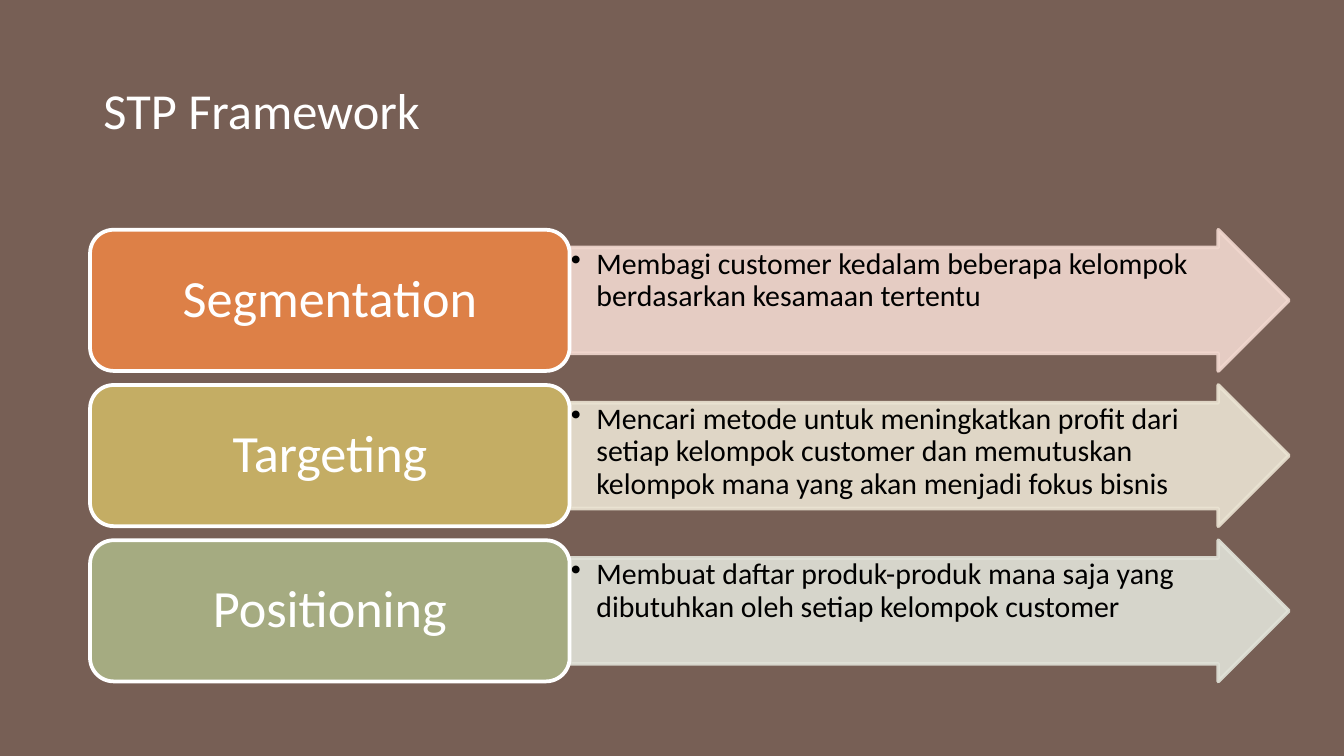
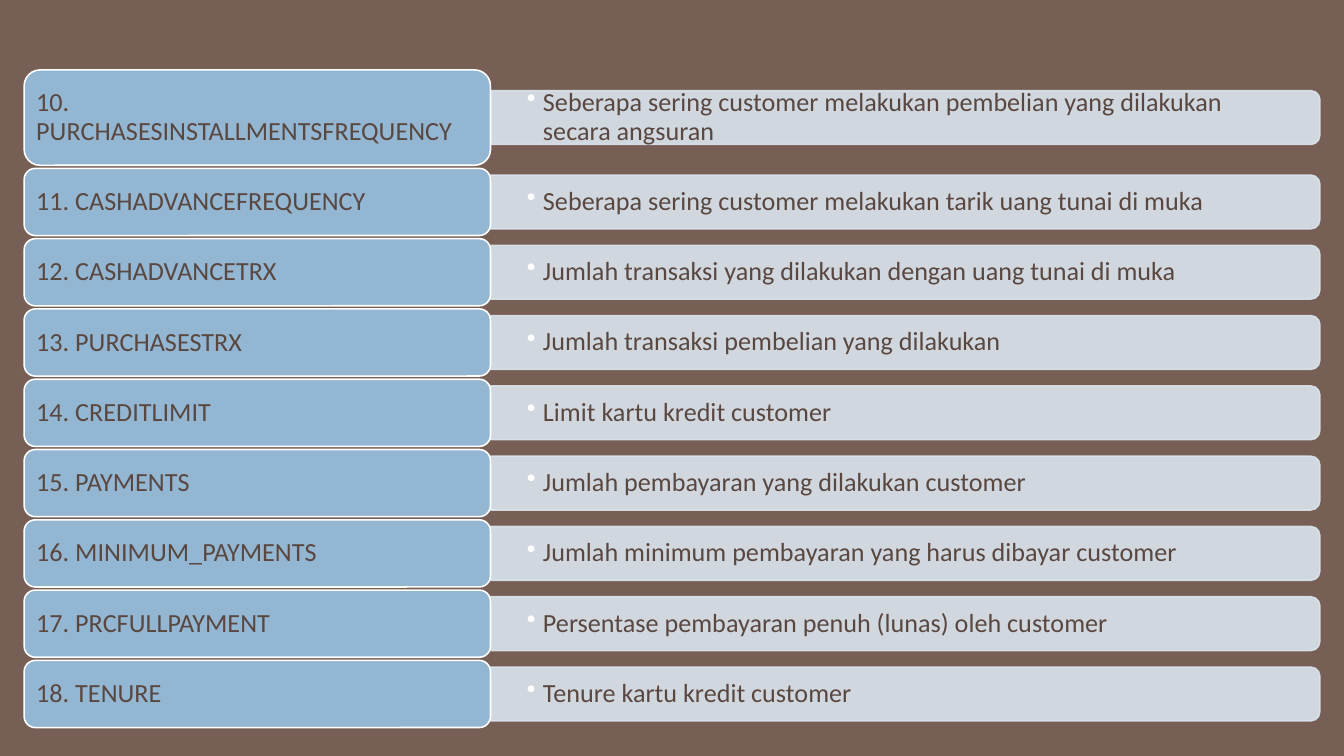
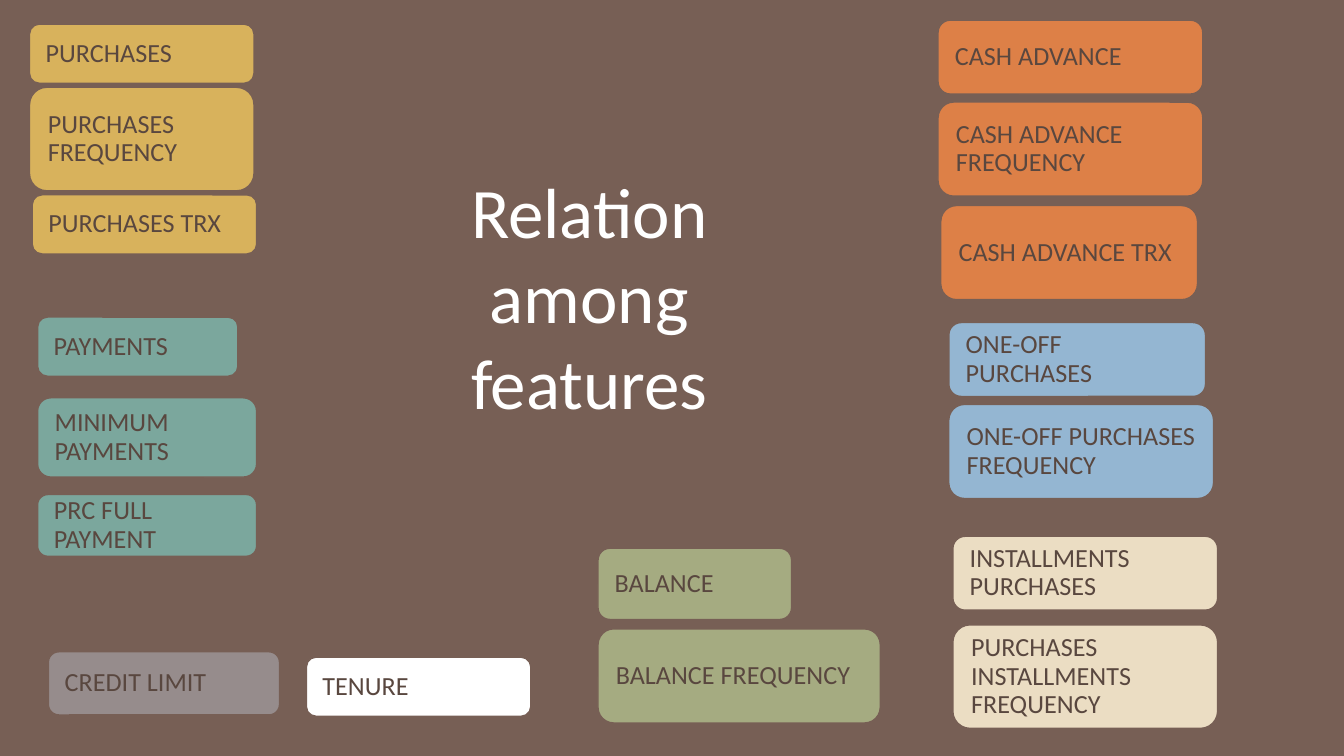
from lxml.etree import SubElement as Sub
from pptx import Presentation
from pptx.dml.color import RGBColor as Rgb
from pptx.enum.shapes import MSO_SHAPE as Kind
from pptx.enum.text import MSO_ANCHOR as Anchor, MSO_AUTO_SIZE as Auto, PP_ALIGN as Align
from pptx.oxml.ns import qn
from pptx.util import Inches, Pt

# Grid: 100 columns by 56.25 rows, square cells
WIDE, HIGH = 100, 56.25
CELL = Inches(0.1)
FONT = "Calibri"
HUES = {
    "back": "775F55", "white": "FFFFFF", "black": "000000",
    "brown": "594740", "ink": "59473F",
    "orange": "DD8047", "rose": "F2D8CF", "ochre": "C4AD64", "sand": "EBE4D3",
    "sage": "A5AB81", "mist": "E1E2D8", "sky": "93B6D2", "pale": "DBE5EE",
    "gold": "D8B25C", "teal": "7BA79D", "blue": "94B6D2", "cream": "EBDDC3",
    "grey": "968C8C",
}

STEPS = [
    ("Segmentation", "orange", "rose",
     "Membagi customer kedalam beberapa kelompok berdasarkan kesamaan tertentu"),
    ("Targeting", "ochre", "sand",
     "Mencari metode untuk meningkatkan profit dari setiap kelompok customer dan "
     "memutuskan kelompok mana yang akan menjadi fokus bisnis"),
    ("Positioning", "sage", "mist",
     "Membuat daftar produk-produk mana saja yang dibutuhkan oleh setiap kelompok customer"),
]
FIRST = 10
FIELDS = [
    ("PURCHASESINSTALLMENTSFREQUENCY",
     "Seberapa sering customer melakukan pembelian yang dilakukan secara angsuran"),
    ("CASHADVANCEFREQUENCY", "Seberapa sering customer melakukan tarik uang tunai di muka"),
    ("CASHADVANCETRX", "Jumlah transaksi yang dilakukan dengan uang tunai di muka"),
    ("PURCHASESTRX", "Jumlah transaksi pembelian yang dilakukan"),
    ("CREDITLIMIT", "Limit kartu kredit customer"),
    ("PAYMENTS", "Jumlah pembayaran yang dilakukan customer"),
    ("MINIMUM_PAYMENTS", "Jumlah minimum pembayaran yang harus dibayar customer"),
    ("PRCFULLPAYMENT", "Persentase pembayaran penuh (lunas) oleh customer"),
    ("TENURE", "Tenure kartu kredit customer"),
]
# Each group: colour, left, top, then tiles as text, shift right, shift down, width, height
GROUPS = [
    ("gold", 2.2, 1.8, [("PURCHASES", 0, 0, 16.7, 4.4),
                        ("PURCHASES FREQUENCY", 0, 4.7, 16.7, 7.7),
                        ("PURCHASES TRX", 0.2, 12.7, 16.7, 4.4)]),
    ("teal", 2.8, 23.6, [("PAYMENTS", 0, 0, 14.9, 4.4),
                         ("MINIMUM PAYMENTS", 0, 6, 16.3, 5.9),
                         ("PRC FULL PAYMENT", 0, 13.2, 16.3, 4.6)]),
    ("grey", 3.6, 48.5, [("CREDIT LIMIT", 0, 0, 17.2, 4.7)]),
    ("white", 22.8, 48.9, [("TENURE", 0, 0, 16.7, 4.4)]),
    ("sage", 44.5, 40.8, [("BALANCE", 0, 0, 14.4, 5.3),
                          ("BALANCE FREQUENCY", 0, 6, 21, 7)]),
    ("orange", 69.8, 1.5, [("CASH ADVANCE", 0, 0, 19.7, 5.5),
                           ("CASH ADVANCE FREQUENCY", 0, 6.1, 19.7, 7),
                           ("CASH ADVANCE TRX", 0.2, 13.8, 19.1, 7)]),
    ("blue", 70.6, 24, [("ONE-OFF PURCHASES", 0, 0, 19.1, 5.5),
                        ("ONE-OFF PURCHASES FREQUENCY", 0, 6.1, 19.7, 7)]),
    ("cream", 70.9, 39.9, [("INSTALLMENTS PURCHASES", 0, 0, 19.7, 5.5),
                           ("PURCHASES INSTALLMENTS FREQUENCY", 0, 6.6, 19.7, 7.7)]),
]


def rgb(hue):
    return Rgb.from_string(HUES[hue])


def span(box):
    return [round(n * CELL) for n in box]


def inner(box, gap):
    x, y, w, h = box
    return x + gap, y + gap, w - 2 * gap, h - 2 * gap


def write(shape, text, size, hue, pad=(1, 1), anchor=Anchor.MIDDLE,
          align=Align.LEFT, lead=0.9, dot=None, hang=0):
    """Fill a text frame; dot is the bullet colour, hang its indent."""
    frame = shape.text_frame
    side, edge = (round(n * CELL) for n in pad)
    look = {"word_wrap": True, "auto_size": Auto.NONE, "vertical_anchor": anchor,
            "margin_left": side, "margin_right": side,
            "margin_top": edge, "margin_bottom": edge}
    for name, value in look.items():
        setattr(frame, name, value)
    para = frame.paragraphs[0]
    para.alignment, para.line_spacing = align, lead
    run = para.add_run()
    run.text = text
    for name, value in {"name": FONT, "size": Pt(size), "bold": False}.items():
        setattr(run.font, name, value)
    run.font.color.rgb = rgb(hue)
    if dot:
        para.level = 1
        props = para._p.get_or_add_pPr()
        props.set("marL", str(round(hang * CELL)))
        props.set("indent", str(-round(hang * CELL)))
        Sub(Sub(props, qn("a:buClr")), qn("a:srgbClr"), val=HUES[dot])
        Sub(props, qn("a:buChar"), char="•")


def note(slide, box, text, size, hue, **look):
    write(slide.shapes.add_textbox(*span(box)), text, size, hue, **look)


def form(slide, kind, box, fill, edge, width, tune=(), clear=False):
    """Add a filled shape; clear makes fill and line 90% opaque."""
    shape = slide.shapes.add_shape(kind, *span(box))
    shape.shadow.inherit = False
    shape.fill.solid()
    shape.fill.fore_color.rgb = rgb(fill)
    shape.line.color.rgb = rgb(edge)
    shape.line.width = Pt(width)
    for i, value in enumerate(tune):
        shape.adjustments[i] = value
    if clear:
        for tint in shape._element.spPr.iter(qn("a:srgbClr")):
            Sub(tint, qn("a:alpha"), val="90000")
    return shape


def head(slide, box, text, size, **look):
    title = slide.shapes.title
    title.left, title.top, title.width, title.height = span(box)
    write(title, text, size, "white", **look)


def step(slide, box, name, fill, tint, text):
    """A rounded label with an arrow to its right."""
    x, y, w, h = box
    part = 0.4 * w
    form(slide, Kind.RIGHT_ARROW, (x + part, y, w - part, h), tint, tint, 2,
         (0.75, 0.5), clear=True)
    note(slide, (x + part, y + h / 8, 49.6, 0.75 * h), text, 16, "black",
         pad=(0.1, 0.1), anchor=Anchor.TOP, dot="black", hang=1.9)
    label = (x, y, part, h)
    form(slide, Kind.ROUNDED_RECTANGLE, label, fill, "white", 2)
    note(slide, inner(label, 0.5), name, 28, "white", pad=(1.2, 0.6), align=Align.CENTER)


def field(slide, box, name, text):
    """A rounded label with a flat bar centred beside it."""
    x, y, w, h = box
    part, thick = 34.7, 4
    wide = w - part
    mid = x + part + wide / 2
    bar = form(slide, Kind.ROUND_2_SAME_RECTANGLE,
               (mid - thick / 2, y + h / 2 - wide / 2, thick, wide),
               "pale", "pale", 0.85, (0.167, 0), clear=True)
    bar.rotation = 90
    note(slide, (x + part, y + h / 2 - 1.8, wide - 0.2, 3.6), text, 14, "brown",
         pad=(2.7, 1.4), dot="white", hang=1.2)
    label = (x, y, part, h)
    form(slide, Kind.ROUNDED_RECTANGLE, label, "sky", "white", 0.85, (0.167,))
    note(slide, inner(label, 0.3), name, 14, "brown", pad=(0.6, 0.3))


def frame_slide(slide, box):
    x, y, w, h = box
    head(slide, (x, 2.4, WIDE - x, 12), "STP Framework", 27)
    tall = 10.5
    pitch = (h - tall) / (len(STEPS) - 1)
    for i, data in enumerate(STEPS):
        step(slide, (x, y + i * pitch, w, tall), *data)


def field_slide(slide, box):
    x, y, w, h = box
    lead, tall, gap = 7.1, 5, 0.23
    for i, (name, text) in enumerate(FIELDS):
        size = tall if i else lead
        field(slide, (x, y, w, size), f"{FIRST + i}. {name}", text)
        y += size + gap


def link_slide(slide, box):
    head(slide, box, "Relation among features", 38,
         anchor=Anchor.BOTTOM, align=Align.CENTER, lead=1.0)
    for hue, x, y, tiles in GROUPS:
        for text, right, down, w, h in tiles:
            tile = form(slide, Kind.ROUNDED_RECTANGLE, (x + right, y + down, w, h),
                        hue, "back", 0.75, (0.167,))
            write(tile, text, 14, "ink")


def main():
    deck = Presentation()
    deck.slide_width, deck.slide_height = span((WIDE, HIGH))
    back = deck.slide_master.background.fill
    back.solid()
    back.fore_color.rgb = rgb("back")
    titled, blank = deck.slide_layouts[5], deck.slide_layouts[6]
    pages = [(titled, frame_slide, (6.7, 17.1, 89.2, 33.6)),
             (blank, field_slide, (1.8, 5.2, 96.4, 49)),
             (titled, link_slide, (27.3, 4.9, 33.1, 27.6))]
    for layout, draw, box in pages:
        draw(deck.slides.add_slide(layout), box)
    deck.save("out.pptx")


if __name__ == "__main__":
    main()
